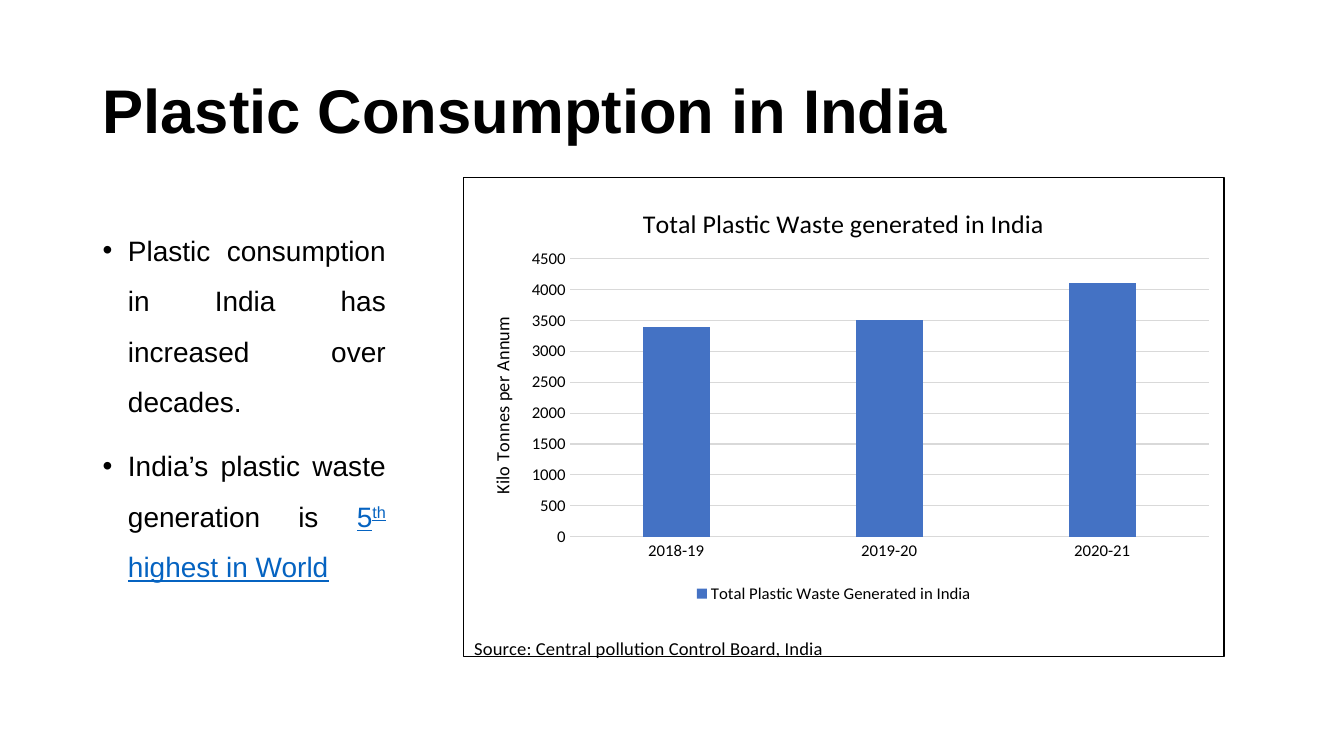
from lxml import etree
from pptx import Presentation
from pptx.chart.data import CategoryChartData
from pptx.dml.color import RGBColor
from pptx.enum.chart import XL_CHART_TYPE, XL_LEGEND_POSITION, XL_TICK_MARK
from pptx.enum.text import MSO_ANCHOR, MSO_AUTO_SIZE, PP_ALIGN
from pptx.oxml import parse_xml
from pptx.oxml.ns import nsdecls, qn
from pptx.util import Cm, Pt

COLUMNS = XL_CHART_TYPE.COLUMN_CLUSTERED
LEGEND_BOTTOM = XL_LEGEND_POSITION.BOTTOM
NO_TICKS = XL_TICK_MARK.NONE
MIDDLE, TOP = MSO_ANCHOR.MIDDLE, MSO_ANCHOR.TOP
NO_AUTOFIT = MSO_AUTO_SIZE.NONE
LEFT, JUSTIFY = PP_ALIGN.LEFT, PP_ALIGN.JUSTIFY

BLACK, GRID, BAR, LINK = "000000", "D9D9D9", "4472C4", "0563C1"


def color(hex_text):
    return RGBColor.from_string(hex_text)


def set_font(font, name, size, fill=BLACK, bold=False):
    font.name, font.size, font.bold = name, Pt(size), bold
    font.color.rgb = color(fill)


def place(element, **fractions):
    """Set a chart part's manual layout in fractions of the chart."""
    old = element.find(qn("c:layout"))
    if old is not None:
        element.remove(old)
    layout = etree.Element(qn("c:layout"))
    manual = etree.SubElement(layout, qn("c:manualLayout"))
    settings = {"xMode": "edge", "yMode": "edge", **fractions}
    if "w" in fractions:
        settings = {"layoutTarget": "inner", **settings}
    for tag, value in settings.items():
        etree.SubElement(manual, qn(f"c:{tag}")).set("val", str(value))
    overlay = element.find(qn("c:overlay"))
    if overlay is not None:
        overlay.addprevious(layout)
    else:
        element.insert(0, layout)


class SlideBuilder:
    text_font = "Arial"
    chart_font = "Calibri"

    def __init__(self, presentation):
        self.slide = presentation.slides.add_slide(presentation.slide_layouts[1])

    def frame(self, placeholder, box, anchor):
        (placeholder.left, placeholder.top,
         placeholder.width, placeholder.height) = map(Cm, box)
        frame = placeholder.text_frame
        frame.word_wrap = True
        frame.auto_size = NO_AUTOFIT
        frame.vertical_anchor = anchor
        return frame

    def title(self, text, box):
        paragraph = self.frame(self.slide.shapes.title, box, MIDDLE).paragraphs[0]
        paragraph.alignment = LEFT
        paragraph.line_spacing = 0.9
        run = paragraph.add_run()
        run.text = text
        set_font(run.font, self.text_font, 44, bold=True)

    def bullets(self, items, box):
        frame = self.frame(self.slide.placeholders[1], box, TOP)
        for index, runs in enumerate(items):
            paragraph = frame.add_paragraph() if index else frame.paragraphs[0]
            paragraph.alignment = JUSTIFY
            paragraph.line_spacing = 1.5
            paragraph.space_before = Pt(10 if index else 0)
            properties = paragraph._p.get_or_add_pPr()
            properties.set("marL", str(Cm(0.64)))
            properties.set("indent", str(-Cm(0.64)))
            etree.SubElement(properties, qn("a:buFont")).set("typeface", self.text_font)
            etree.SubElement(properties, qn("a:buChar")).set("char", "•")
            for text, is_link, is_raised in runs:
                run = paragraph.add_run()
                run.text = text
                set_font(run.font, self.text_font, 20, LINK if is_link else BLACK)
                if is_link:
                    run.font.underline = True
                if is_raised:
                    run.font._element.set("baseline", "30000")

    def chart_title(self, owner, text, size, x, y):
        title = owner.chart_title if hasattr(owner, "chart_title") else owner.axis_title
        run = title.text_frame.paragraphs[0].add_run()
        run.text = text
        set_font(run.font, self.chart_font, size)
        place(title._element, x=x, y=y)
        return title

    def axis(self, axis, text, x, y):
        axis.major_tick_mark = axis.minor_tick_mark = NO_TICKS
        set_font(axis.tick_labels.font, self.chart_font, 12)
        return self.chart_title(axis, text, 13.3, x, y)

    def column_chart(self, categories, name, values, box):
        data = CategoryChartData()
        data.categories = categories
        data.add_series(name, values)
        chart = self.slide.shapes.add_chart(COLUMNS, *map(Cm, box), data).chart
        set_font(chart.font, self.chart_font, 10)

        # Frame around the chart
        chart._chartSpace.find(qn("c:chart")).addnext(parse_xml(
            f'<c:spPr {nsdecls("c", "a")}><a:noFill/><a:ln w="{Pt(0.75)}">'
            f'<a:solidFill><a:srgbClr val="{BLACK}"/></a:solidFill></a:ln></c:spPr>'))

        # Columns
        plot = chart.plots[0]
        plot.gap_width, plot.overlap = 219, -27
        plot.vary_by_categories = False
        fill = plot.series[0].format.fill
        fill.solid()
        fill.fore_color.rgb = color(BAR)
        place(chart._chartSpace.chart.plotArea, x=0.14, y=0.17, w=0.84, h=0.58)

        # Titles and axes
        self.chart_title(chart, "Total Plastic Waste generated in India", 18.6, 0.23, 0.05)
        category_axis, value_axis = chart.category_axis, chart.value_axis
        self.axis(category_axis, "Source: Central pollution Control Board, India", 0.01, 0.95)
        value_title = self.axis(value_axis, "Kilo Tonnes per Annum", 0.03, 0.29)
        value_title.text_frame._txBody.bodyPr.set("rot", "-5400000")
        value_axis.minimum_scale, value_axis.maximum_scale = 0, 4500
        value_axis.major_unit = 500
        value_axis.format.line.fill.background()
        for line in (category_axis.format.line, value_axis.major_gridlines.format.line):
            line.color.rgb = color(GRID)
            line.width = Pt(0.75)

        # Legend
        chart.has_legend = True
        chart.legend.position = LEGEND_BOTTOM
        chart.legend.include_in_layout = False
        set_font(chart.legend.font, self.chart_font, 12)
        place(chart.legend._element, x=0.3, y=0.84)


def main():
    presentation = Presentation()
    presentation.slide_width, presentation.slide_height = Cm(33.87), Cm(19.05)
    builder = SlideBuilder(presentation)

    builder.title("Plastic Consumption in India", (2.33, 1.01, 29.21, 3.68))
    builder.bullets([
        [("Plastic consumption in India has increased over decades.", False, False)],
        [("India’s plastic waste generation is ", False, False),
         ("5", True, False), ("th", True, True), (" highest in World", True, False)],
    ], (2.33, 5.33, 7.65, 10.57))
    builder.column_chart(
        ["2018-19", "2019-20", "2020-21"], "Total Plastic Waste Generated in India",
        [3400, 3500, 4100], (11.66, 4.45, 19.2, 12.34))

    presentation.save("out.pptx")


if __name__ == "__main__":
    main()
